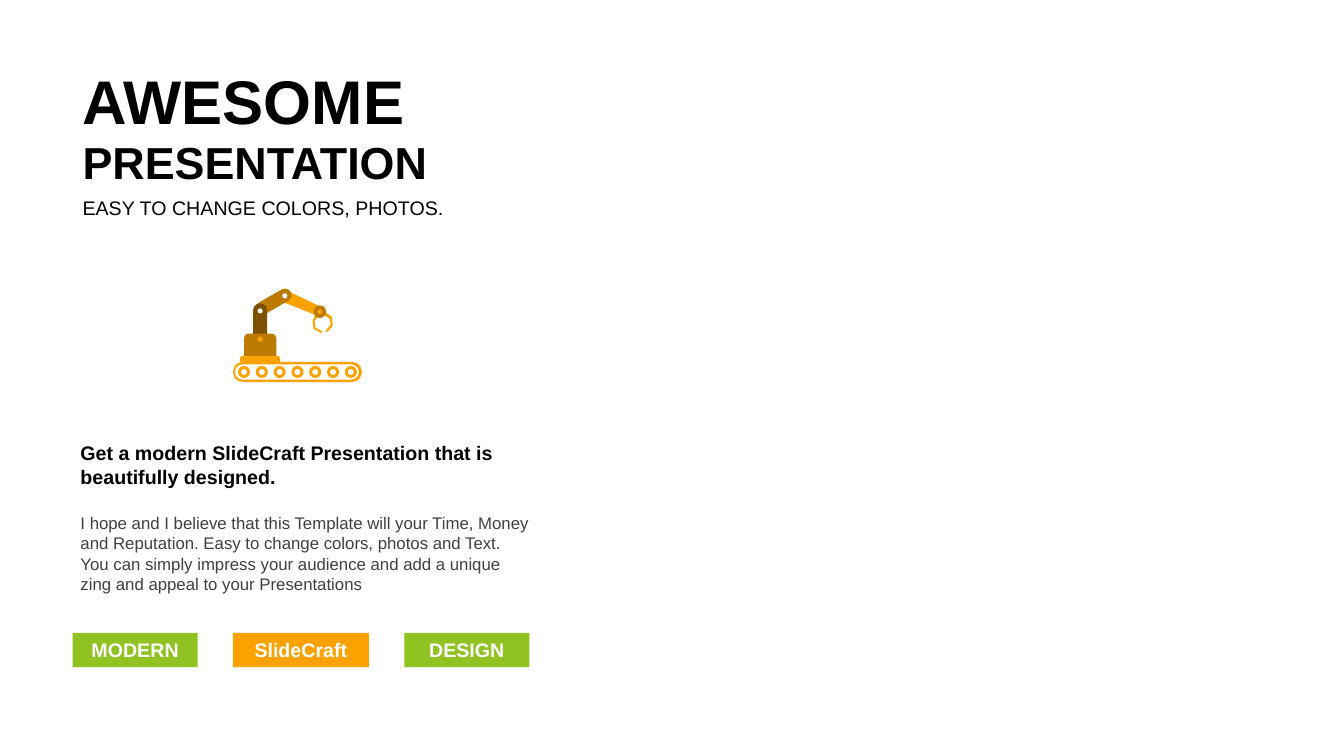
from pptx import Presentation
from pptx import util as u
from pptx.dml.color import RGBColor
from pptx.enum import shapes, text

COLORS = {
    "ink": "000000",
    "body": "404040",
    "white": "FFFFFF",
    "green": "90C221",
    "orange": "FBA200",
    "amber": "BC7A00",
    "brown": "7E5100",
}
GRID = u.Inches(0.01)
COLUMNS, ROWS = 1333, 750
PRESET = shapes.MSO_SHAPE
ALIGN = text.PP_ALIGN
ANCHOR = text.MSO_ANCHOR


def rgb(color):
    return RGBColor.from_string(COLORS[color])


def cells(*counts):
    return [round(count * GRID) for count in counts]


def paint(part, color):
    part.shadow.inherit = False
    part.fill.solid()
    part.fill.fore_color.rgb = rgb(color)
    part.line.fill.background()


def write(holder, wording, size, color, bold, align, anchor):
    frame = holder.text_frame
    frame.word_wrap = True
    frame.auto_size = text.MSO_AUTO_SIZE.SHAPE_TO_FIT_TEXT
    frame.vertical_anchor = anchor
    frame.text = wording
    paragraph = frame.paragraphs[0]
    paragraph.alignment = align
    font = paragraph.runs[0].font
    font.name = "Arial"
    font.size = u.Pt(size)
    font.bold = bold
    font.color.rgb = rgb(color)


def add_copy(slide, place, wording, size, color="ink", bold=False,
             align=ALIGN.LEFT, anchor=ANCHOR.TOP):
    holder = slide.shapes.add_textbox(*cells(*place))
    write(holder, wording, size, color, bold, align, anchor)


def add_part(canvas, preset, place, color, adjust=None, turn=0):
    part = canvas.shapes.add_shape(preset, *cells(*place))
    if adjust is not None:
        part.adjustments[0] = adjust
    part.rotation = turn
    paint(part, color)
    return part


def add_claw(canvas, outline):
    builder = canvas.shapes.build_freeform(*outline[0], scale=GRID)
    builder.add_line_segments(outline[1:], close=True)
    paint(builder.convert_to_shape(), "orange")


def add_tags(slide, left, top, gap, tags):
    for wording, width, color in tags:
        tag = add_part(slide, PRESET.RECTANGLE, (left, top, width, 34), color)
        write(tag, wording, 14, "white", True, ALIGN.CENTER, ANCHOR.TOP)
        left += width + gap


def add_arm(robot):
    add_part(robot, PRESET.TRAPEZOID, (295, 281, 12, 42), "orange", 0.115, 113.7)
    add_part(robot, PRESET.ROUNDED_RECTANGLE, (251, 293, 40, 13), "amber", 0.5, 330)
    add_part(robot, PRESET.OVAL, (280, 291, 5, 5), "white")
    add_part(robot, PRESET.ROUND_2_SAME_RECTANGLE, (251, 301, 14, 39), "brown", 0.5)
    add_part(robot, PRESET.OVAL, (255.5, 306, 5, 5), "white")
    add_claw(robot, [(323, 310), (329, 314), (330, 323), (325, 329), (323, 329),
                     (323, 328), (328, 322), (327, 316), (322, 313)])
    add_claw(robot, [(314, 311), (310, 318), (311, 326), (318, 330), (320, 330),
                     (320, 329), (313, 325), (312, 318), (316, 314)])
    add_part(robot, PRESET.DONUT, (311, 303, 12.5, 12.5), "amber", 0.3)


def add_base(robot):
    add_part(robot, PRESET.ROUND_2_SAME_RECTANGLE, (242, 331, 32, 25), "amber", 0.19)
    add_part(robot, PRESET.ROUND_2_SAME_RECTANGLE, (238, 353, 40, 6), "orange", 0.5)
    add_part(robot, PRESET.OVAL, (255.5, 334, 5, 5), "orange")


def add_conveyor(robot, wheels=7, first=236, last=342):
    add_part(robot, PRESET.ROUNDED_RECTANGLE, (231, 359, 128, 20), "orange", 0.5)
    add_part(robot, PRESET.ROUNDED_RECTANGLE, (233, 361.5, 123, 15), "white", 0.5)
    step = (last - first) / (wheels - 1)
    for wheel in range(wheels):
        add_part(robot, PRESET.DONUT, (first + wheel * step, 363, 12, 12), "orange")


def main():
    deck = Presentation()
    deck.slide_width, deck.slide_height = cells(COLUMNS, ROWS)
    slide = deck.slides.add_slide(deck.slide_layouts[6])

    add_copy(slide, (70, 433, 477, 57),
             "Get a modern SlideCraft Presentation that is beautifully designed.",
             14, bold=True)
    add_copy(slide, (70, 504, 467, 91),
             "I hope and I believe that this Template will your Time, Money and "
             "Reputation. Easy to change colors, photos and Text. You can simply "
             "impress your audience and add a unique zing and appeal to your "
             "Presentations", 12, "body")
    add_tags(slide, 72, 628, 35, [("MODERN", 124, "green"),
                                  ("SlideCraft", 135, "orange"),
                                  ("DESIGN", 124, "green")])

    add_copy(slide, (72, 57, 465, 84), "AWESOME", 44, bold=True,
             align=ALIGN.JUSTIFY, anchor=ANCHOR.MIDDLE)
    add_copy(slide, (72, 128, 465, 64), "PRESENTATION", 32, bold=True,
             align=ALIGN.JUSTIFY, anchor=ANCHOR.MIDDLE)
    add_copy(slide, (72, 189, 465, 34), "EASY TO CHANGE COLORS, PHOTOS.", 14,
             align=ALIGN.JUSTIFY)

    robot = slide.shapes.add_group_shape()
    add_arm(robot)
    add_base(robot)
    add_conveyor(robot)

    deck.save("out.pptx")


if __name__ == "__main__":
    main()
